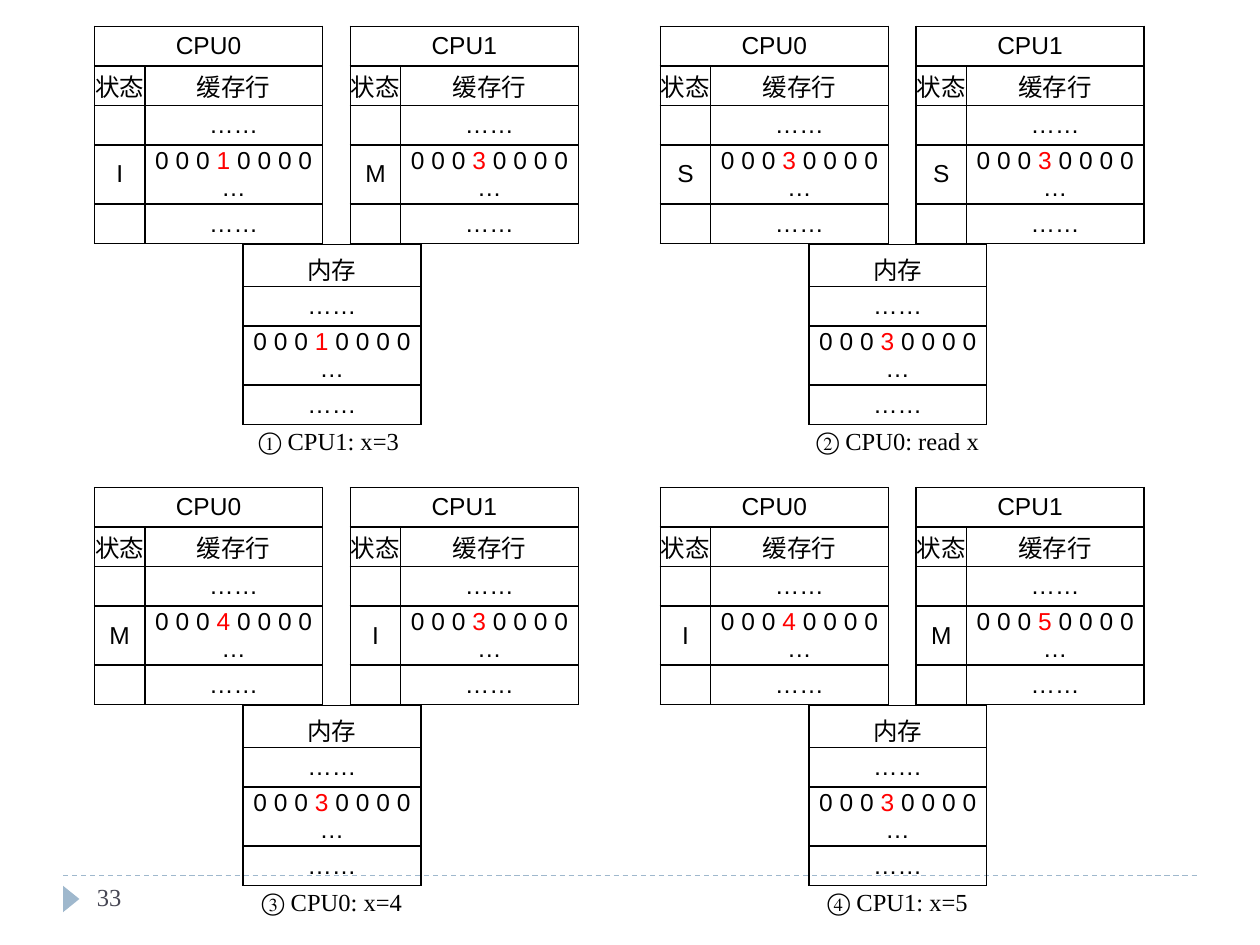
from lxml.etree import SubElement
from pptx import Presentation
from pptx.dml.color import RGBColor
from pptx.enum.dml import MSO_LINE
from pptx.enum.shapes import MSO_CONNECTOR, MSO_SHAPE
from pptx.enum.text import MSO_ANCHOR, MSO_AUTO_SIZE, PP_ALIGN
from pptx.oxml import parse_xml
from pptx.oxml.ns import nsdecls, qn
from pptx.util import Inches, Pt

COLORS = {"ink": "000000", "value": "FF0000", "accent": "9FB8CD", "number": "464653"}
TABLE_FONT, TEXT_FONT, TEXT_SIZE = "Arial", "Times New Roman", 14

# Each processor is (state, cached value)
PANELS = [
    {"processors": [("I", "1"), ("M", "3")], "memory": "1",
     "caption": "① CPU1: x=3", "caption_box": (1.19, 1.34), "wrap": False},
    {"processors": [("S", "3"), ("S", "3")], "memory": "3",
     "caption": "② CPU0: read x", "caption_box": (1.1, 1.57), "wrap": True},
    {"processors": [("M", "4"), ("I", "3")], "memory": "3",
     "caption": "③ CPU0: x=4", "caption_box": (1.1, 1.57), "wrap": True},
    {"processors": [("I", "4"), ("M", "5")], "memory": "3",
     "caption": "④ CPU1: x=5", "caption_box": (1.1, 1.57), "wrap": True},
]
PAGE_NUMBER = "33"
ELLIPSIS = [("……", "ink")]

PANEL_LEFT, PANEL_TOP = 0.75, 0.21
PANEL_STEP_X, PANEL_STEP_Y = 4.49, 3.66
PROCESSOR_STEP = 2.03
MEMORY_LEFT, MEMORY_TOP, CAPTION_TOP = 1.18, 1.73, 3.12
STATE_WIDTH, LINE_WIDTH = 0.4, 1.41
ROW_HEIGHT = 1.57 / 5


def color(name):
    return RGBColor.from_string(COLORS[name])


def plain(text):
    return [(text, "ink")]


def cache_line(value):
    return [("0 0 0 ", "ink"), (value, "value"), (" 0 0 0 0 …", "ink")]


def add_runs(paragraph, runs, font_name):
    for text, color_name in runs:
        run = paragraph.add_run()
        run.text = text
        run.font.name = font_name
        run.font.size = Pt(TEXT_SIZE)
        run.font.bold = False
        run.font.color.rgb = color(color_name)


def add_borders(cell):
    properties = cell._tc.get_or_add_tcPr()
    for index, side in enumerate(("lnL", "lnR", "lnT", "lnB")):
        properties.insert(index, parse_xml(
            f'<a:{side} {nsdecls("a")} w="{Pt(1)}"><a:solidFill>'
            f'<a:srgbClr val="{COLORS["ink"]}"/></a:solidFill></a:{side}>'))


def add_grid(slide, left, top, widths, rows):
    shape = slide.shapes.add_table(
        len(rows), len(widths), Inches(left), Inches(top),
        Inches(sum(widths)), Inches(ROW_HEIGHT * len(rows)))
    table = shape.table
    table.first_row = table.horz_banding = False
    for column, width in zip(table.columns, widths):
        column.width = Inches(width)
    for row_index, row in enumerate(rows):
        table.rows[row_index].height = Inches(ROW_HEIGHT)
        for column_index, runs in enumerate(row):
            cell = table.cell(row_index, column_index)
            cell.fill.background()
            add_borders(cell)
            cell.vertical_anchor = MSO_ANCHOR.MIDDLE
            cell.margin_left = cell.margin_right = 0
            cell.margin_top = cell.margin_bottom = 0
            paragraph = cell.text_frame.paragraphs[0]
            paragraph.alignment = PP_ALIGN.CENTER
            add_runs(paragraph, runs, TABLE_FONT)
    return table


def add_processor(slide, left, top, name, state, value):
    rows = [
        [plain(name), []],
        [plain("状态"), plain("缓存行")],
        [[], ELLIPSIS],
        [plain(state), cache_line(value)],
        [[], ELLIPSIS],
    ]
    table = add_grid(slide, left, top, [STATE_WIDTH, LINE_WIDTH], rows)
    table.cell(0, 0).merge(table.cell(0, 1))


def add_memory(slide, left, top, value):
    rows = [[plain("内存")], [ELLIPSIS], [cache_line(value)], [ELLIPSIS]]
    table = add_grid(slide, left, top, [LINE_WIDTH], rows)
    header = table.cell(0, 0)
    header.vertical_anchor = MSO_ANCHOR.TOP
    header.margin_left = header.margin_right = Inches(0.1)
    header.margin_top = header.margin_bottom = Inches(0.05)


def add_label(slide, box, runs, alignment, wrap=True):
    frame = slide.shapes.add_textbox(*map(Inches, box)).text_frame
    frame.word_wrap = wrap
    frame.auto_size = MSO_AUTO_SIZE.SHAPE_TO_FIT_TEXT
    paragraph = frame.paragraphs[0]
    paragraph.alignment = alignment
    add_runs(paragraph, runs, TEXT_FONT)


def add_footer(slide):
    rule = slide.shapes.add_connector(
        MSO_CONNECTOR.STRAIGHT, Inches(0.5), Inches(6.95), Inches(9.5), Inches(6.95))
    rule.line.color.rgb = color("accent")
    rule.line.width = Pt(0.75)
    rule.line.dash_style = MSO_LINE.DASH
    SubElement(rule._element.spPr, qn("a:effectLst"))

    marker = slide.shapes.add_shape(
        MSO_SHAPE.ISOSCELES_TRIANGLE, Inches(0.46), Inches(7.07), Inches(0.21), Inches(0.13))
    marker.rotation = 90
    marker.shadow.inherit = False
    marker.fill.solid()
    marker.fill.fore_color.rgb = color("accent")
    marker.line.fill.background()
    add_label(slide, (0.67, 6.95, 2.17, 0.4), [(PAGE_NUMBER, "number")], PP_ALIGN.LEFT)


def add_panel(slide, index, panel):
    row, column = divmod(index, 2)
    left = PANEL_LEFT + column * PANEL_STEP_X
    top = PANEL_TOP + row * PANEL_STEP_Y
    for number, (state, value) in enumerate(panel["processors"]):
        add_processor(slide, left + number * PROCESSOR_STEP, top, f"CPU{number}", state, value)
    add_memory(slide, left + MEMORY_LEFT, top + MEMORY_TOP, panel["memory"])
    offset, width = panel["caption_box"]
    add_label(slide, (left + offset, top + CAPTION_TOP, width, 0.34),
              plain(panel["caption"]), PP_ALIGN.CENTER, panel["wrap"])


def main():
    presentation = Presentation()
    presentation.slide_width = Inches(10)
    presentation.slide_height = Inches(7.5)
    slide = presentation.slides.add_slide(presentation.slide_layouts[6])
    add_footer(slide)
    for index, panel in enumerate(PANELS):
        add_panel(slide, index, panel)
    presentation.save("out.pptx")


if __name__ == "__main__":
    main()
